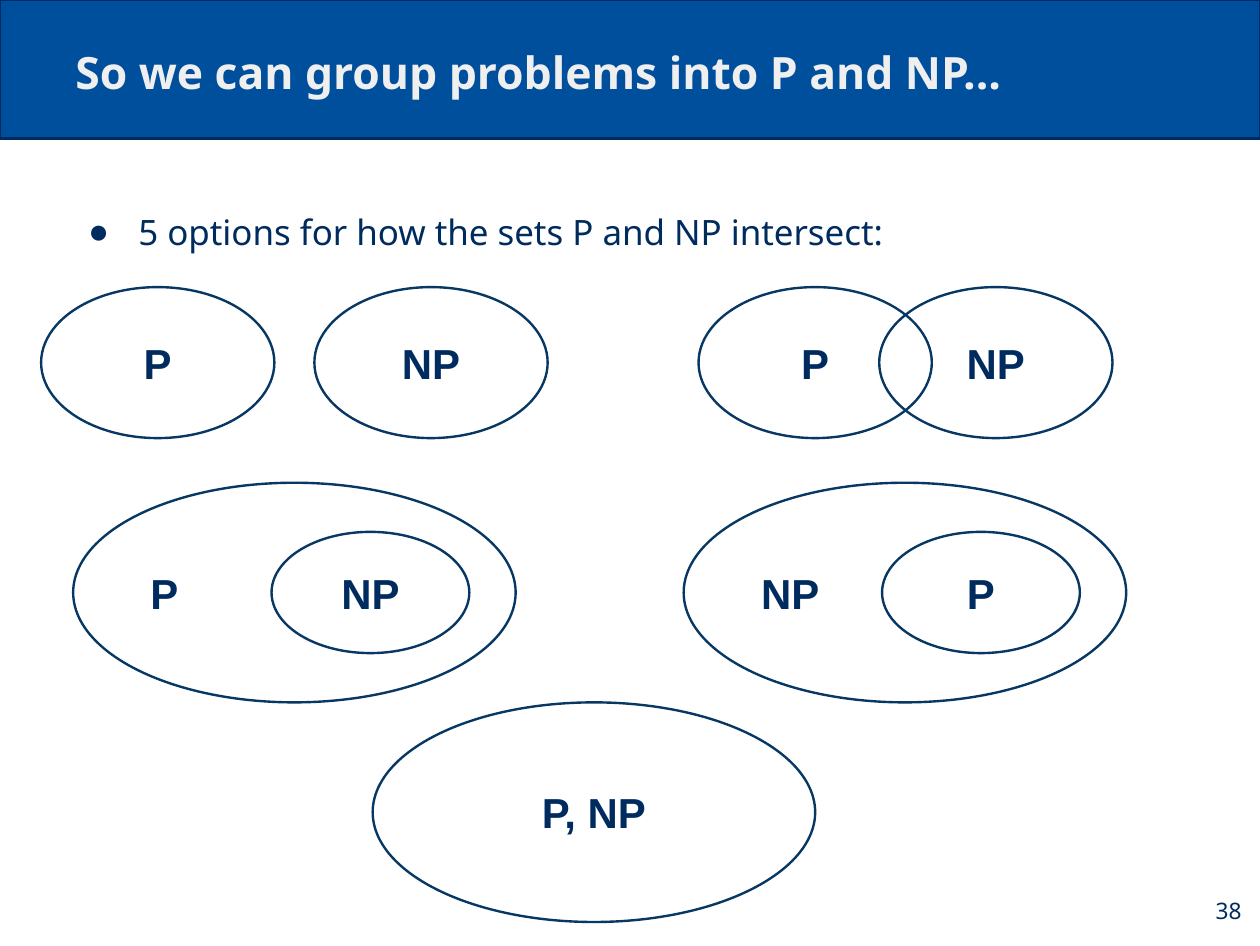
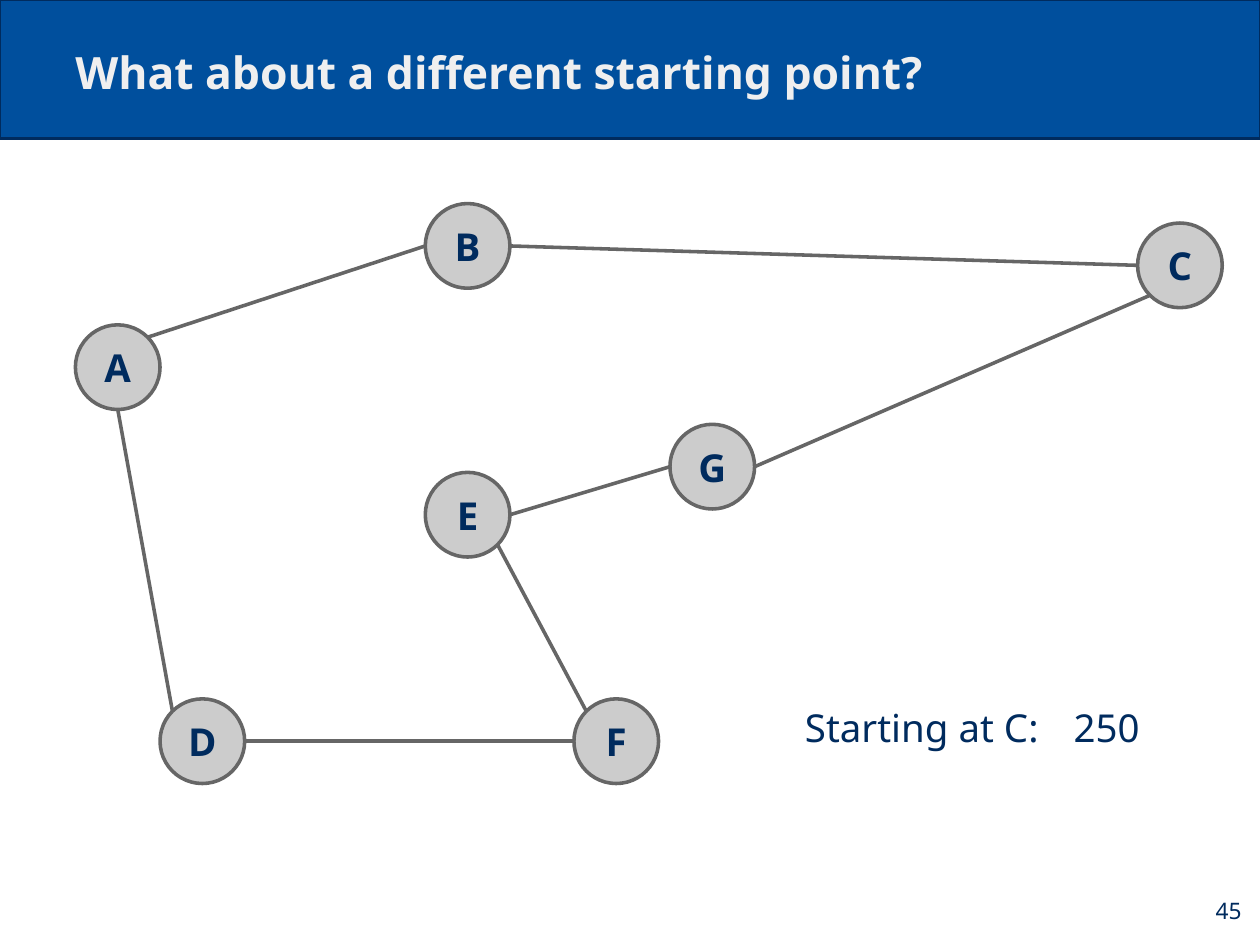
"""Build two slides on P versus NP and on a tour with another start."""
from dataclasses import dataclass
from math import cos, radians, sin

from lxml import etree
from pptx import Presentation, util as u
from pptx.dml import color
from pptx.enum import shapes, text
from pptx.oxml import ns

BLUE, NAVY, OUTLINE = "004F9D", "002B5E", "073763"
PALE, GREY, DARK_GREY = "EFEFEF", "CCCCCC", "666666"
SANS, ARIAL = "Noto Sans", "Arial"
WIDTH, HEIGHT = 11.02, 8.27
NODE_SIZE = 0.74
LEFT, CENTER, RIGHT = text.PP_ALIGN.LEFT, text.PP_ALIGN.CENTER, text.PP_ALIGN.RIGHT
MIDDLE = text.MSO_ANCHOR.MIDDLE


@dataclass(frozen=True)
class Box:
    """A rectangle in inches."""
    left: float
    top: float
    width: float
    height: float

    def lengths(self):
        """Return the four values as lengths."""
        return [u.Inches(v) for v in (self.left, self.top, self.width, self.height)]


@dataclass(frozen=True)
class Style:
    """The look of a run."""
    size: float
    font: str = SANS
    color: str = NAVY
    bold: bool = False


@dataclass(frozen=True)
class SetOval:
    """A labelled set in a diagram."""
    label: str
    box: Box
    align: text.PP_ALIGN = CENTER


@dataclass(frozen=True)
class Node:
    """A named stop of the tour."""
    name: str
    left: float
    top: float

    def rim(self, angle: float) -> list:
        """Return the rim point at an angle, clockwise from the right."""
        radius = NODE_SIZE / 2
        return [u.Inches(self.left + radius + radius * cos(radians(angle))),
                u.Inches(self.top + radius + radius * sin(radians(angle)))]


@dataclass(frozen=True)
class Leg:
    """A tour leg between two rim points."""
    start: str
    start_angle: float
    end: str
    end_angle: float


TITLE = Style(28, color=PALE, bold=True)
BULLET = Style(22)
SET_LABEL = Style(26.4, font=ARIAL, bold=True)
NODE_LABEL = Style(24.2, bold=True)
RESULT = Style(24.2)
PAGE = Style(14.3)

SETS = [
    *(SetOval(label, Box(left, 2.51, 2.04, 1.32))
      for label, left in (("P", 0.36), ("NP", 2.75), ("P", 6.11), ("NP", 7.69))),
    *(oval for outer, inner, left in (("P", "NP", 0.64), ("NP", "P", 5.98))
      for oval in (SetOval(outer, Box(left, 4.22, 3.87, 1.92), LEFT),
                   SetOval(inner, Box(left + 1.735, 4.65, 1.73, 1.06)))),
    SetOval("P, NP", Box(3.26, 6.14, 3.87, 1.92)),
]
NODES = [Node("A", 0.66, 2.84), Node("B", 3.72, 1.78), Node("C", 9.95, 1.95),
         Node("G", 5.86, 3.71), Node("E", 3.72, 4.13), Node("F", 5.02, 6.11),
         Node("D", 1.4, 6.11)]
TOUR = [Leg("C", 135, "G", 0), Leg("G", 180, "E", 0), Leg("E", 45, "F", 225),
        Leg("F", 180, "D", 0), Leg("D", 225, "A", 90), Leg("A", 315, "B", 180),
        Leg("B", 0, "C", 180)]


def rgb(value: str) -> color.RGBColor:
    """Turn a hex string into a colour."""
    return color.RGBColor.from_string(value)


def write(shape, words: str, style: Style, align=LEFT, anchor=MIDDLE):
    """Write one run into a shape and return its paragraph."""
    frame = shape.text_frame
    frame.word_wrap = True
    frame.auto_size = text.MSO_AUTO_SIZE.NONE
    frame.vertical_anchor = anchor
    frame.margin_left = frame.margin_right = u.Inches(0.11)
    frame.margin_top = frame.margin_bottom = u.Inches(0.11)
    paragraph = frame.paragraphs[0]
    paragraph.alignment = align
    paragraph.space_before = u.Pt(0)
    run = paragraph.add_run()
    run.text = words
    run.font.size = u.Pt(style.size)
    run.font.name = style.font
    run.font.bold = style.bold
    run.font.color.rgb = rgb(style.color)
    return paragraph


def place(shape, box: Box) -> None:
    """Move a placeholder to a box."""
    shape.left, shape.top, shape.width, shape.height = box.lengths()


def add_figure(slide, kind, box: Box, fill: str | None, line: str, weight: float):
    """Add a flat preset shape."""
    figure = slide.shapes.add_shape(kind, *box.lengths())
    figure.shadow.inherit = False
    if fill:
        figure.fill.solid()
        figure.fill.fore_color.rgb = rgb(fill)
    else:
        figure.fill.background()
    figure.line.color.rgb = rgb(line)
    figure.line.width = u.Pt(weight)
    return figure


def add_words(slide, words: str, box: Box, style: Style, align=LEFT) -> None:
    """Add a line of free text."""
    write(slide.shapes.add_textbox(*box.lengths()), words, style, align)


def add_band(deck, slide) -> None:
    """Put the title band on the master, behind everything."""
    band = add_figure(slide, shapes.MSO_SHAPE.RECTANGLE, Box(0, 0, WIDTH, 1.21),
                      BLUE, NAVY, 1.5)._element
    band.nvSpPr.cNvPr.set("id", "20")
    deck.slide_master.shapes._spTree.insert(2, band)


def add_slide(deck, layout: int, title: str, page: int):
    """Add a slide with its title and page number."""
    slide = deck.slides.add_slide(deck.slide_layouts[layout])
    place(slide.shapes.title, Box(0.55, 0.24, 9.92, 0.73))
    write(slide.shapes.title, title, TITLE, anchor=text.MSO_ANCHOR.BOTTOM)
    add_words(slide, str(page), Box(10.31, 7.64, 0.66, 0.63), PAGE, RIGHT)
    return slide


def add_bullet(slide, words: str) -> None:
    """Fill the body placeholder with one bullet."""
    body = slide.placeholders[1]
    place(body, Box(0.55, 1.55, 9.92, 0.78))
    paragraph = write(body, words, BULLET, anchor=text.MSO_ANCHOR.TOP)
    properties = paragraph._p.get_or_add_pPr()
    properties.set("marL", str(u.Inches(0.55)))
    properties.set("indent", str(u.Inches(-0.44)))
    tint = etree.SubElement(properties, ns.qn("a:buClr"))
    etree.SubElement(tint, ns.qn("a:srgbClr"), val=NAVY)
    etree.SubElement(properties, ns.qn("a:buChar"), char="●")
    paragraph.line_spacing = 1.5


def add_set(slide, oval: SetOval) -> None:
    """Draw a set as a labelled outline."""
    figure = add_figure(slide, shapes.MSO_SHAPE.OVAL, oval.box, None, OUTLINE, 1.5)
    write(figure, oval.label, SET_LABEL, oval.align)


def add_node(slide, node: Node) -> None:
    """Draw a stop of the tour."""
    box = Box(node.left, node.top, NODE_SIZE, NODE_SIZE)
    figure = add_figure(slide, shapes.MSO_SHAPE.OVAL, box, GREY, DARK_GREY, 2.25)
    write(figure, node.name, NODE_LABEL, CENTER)


def add_leg(slide, leg: Leg, stops: dict[str, Node]) -> None:
    """Draw a leg of the tour."""
    edge = slide.shapes.add_connector(
        shapes.MSO_CONNECTOR.STRAIGHT,
        *stops[leg.start].rim(leg.start_angle), *stops[leg.end].rim(leg.end_angle))
    edge.line.color.rgb = rgb(DARK_GREY)
    edge.line.width = u.Pt(2.25)
    etree.SubElement(edge._element.spPr, ns.qn("a:effectLst"))


def main() -> None:
    """Build and save the deck."""
    deck = Presentation()
    deck.slide_width, deck.slide_height = u.Inches(WIDTH), u.Inches(HEIGHT)

    options = add_slide(deck, 1, "So we can group problems into P and NP...", 38)
    add_band(deck, options)
    add_bullet(options, "5 options for how the sets P and NP intersect:")
    for oval in SETS:
        add_set(options, oval)

    tour = add_slide(deck, 5, "What about a different starting point?", 45)
    for node in NODES:
        add_node(tour, node)
    stops = {node.name: node for node in NODES}
    for leg in TOUR:
        add_leg(tour, leg, stops)
    add_words(tour, "Starting at C:", Box(6.93, 6.04, 2.35, 0.63), RESULT)
    add_words(tour, "250", Box(9.28, 6.04, 1.03, 0.63), RESULT)

    deck.save("out.pptx")


if __name__ == "__main__":
    main()
